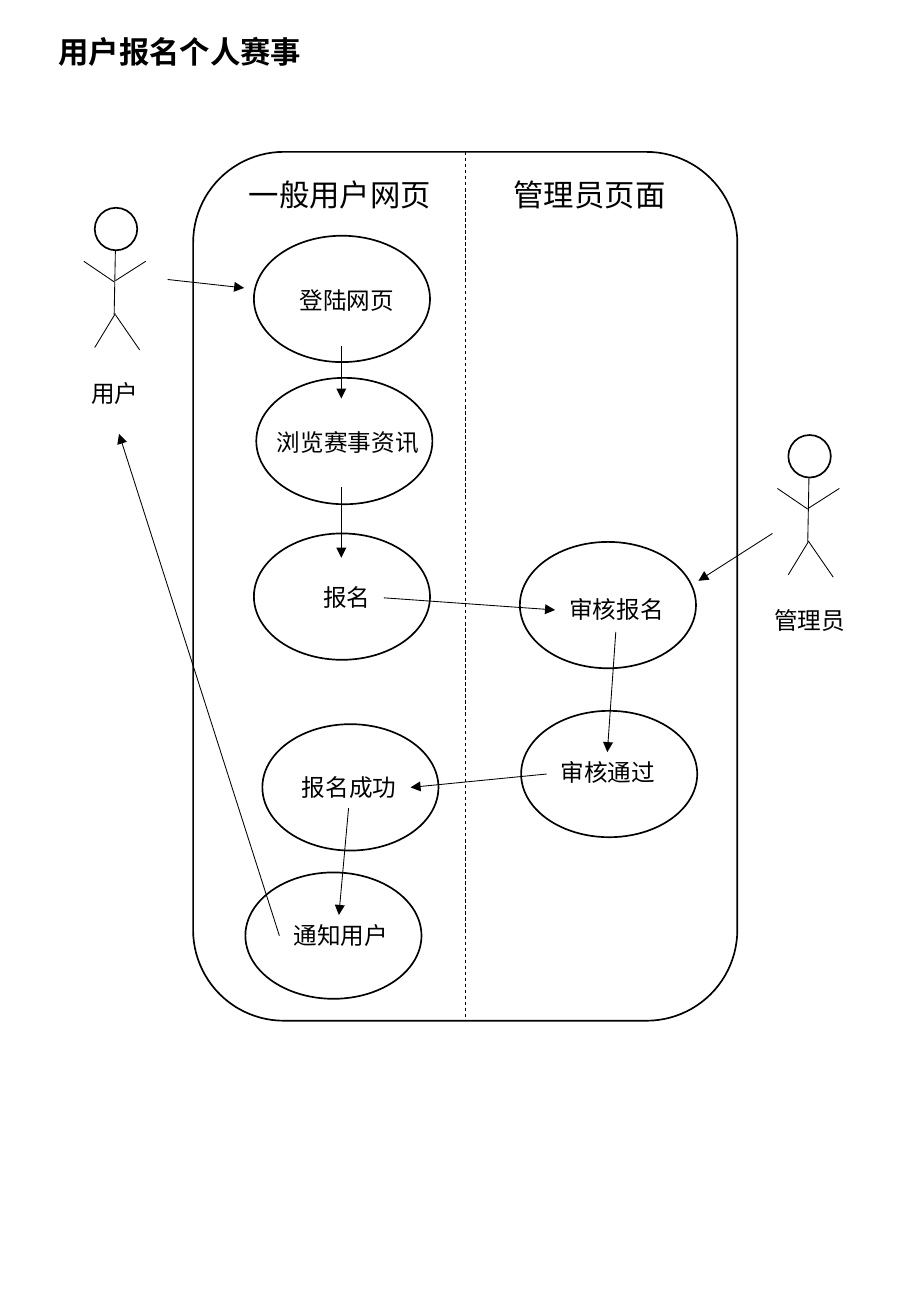
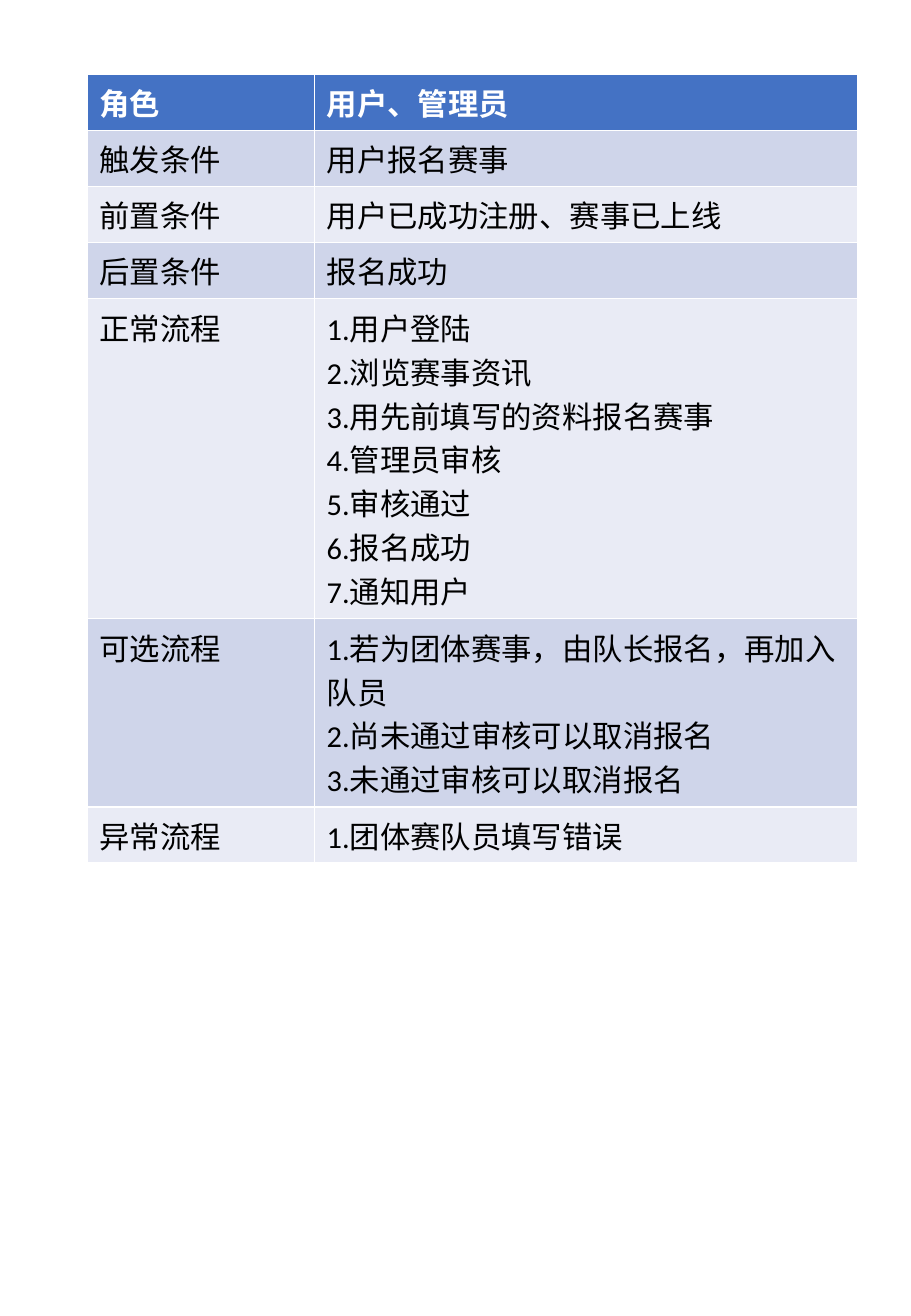
"""Build a use-case diagram for event registration and its description table."""
from typing import NamedTuple

from lxml import etree
from pptx import Presentation
from pptx import util as u
from pptx.dml import color
from pptx.enum import dml, lang, shapes, text
from pptx.oxml import ns

BLACK = color.RGBColor(0x00, 0x00, 0x00)
WHITE = color.RGBColor(0xFF, 0xFF, 0xFF)
HEADER = color.RGBColor(0x44, 0x72, 0xC4)
BANDS = (color.RGBColor(0xE9, 0xEB, 0xF5), color.RGBColor(0xCF, 0xD5, 0xEA))
BODY_FONT = "Calibri"
TITLE_FONT = "Noto Sans CJK SC"
OVAL_SIZE = (1.45, 1.04)


class Label(NamedTuple):
    text: str
    left: float
    top: float
    size: int = 14


class UseCase(NamedTuple):
    left: float
    top: float
    label: Label


class Actor(NamedTuple):
    left: float
    top: float
    label: Label


class Line(NamedTuple):
    x1: float
    y1: float
    x2: float
    y2: float


SYSTEM = (1.59, 1.25, 4.48, 7.15)
HEADINGS = (Label("一般用户网页", 1.95, 1.4, 18), Label("管理员页面", 4.13, 1.4, 18))
USE_CASES = (
    UseCase(2.09, 1.94, Label("登陆网页", 2.35, 2.3)),
    UseCase(2.11, 3.11, Label("浏览赛事资讯", 2.16, 3.47)),
    UseCase(2.09, 4.39, Label("报名", 2.55, 4.75)),
    UseCase(4.28, 4.46, Label("审核报名", 4.57, 4.85)),
    UseCase(4.29, 5.85, Label("审核通过", 4.5, 6.19)),
    UseCase(2.16, 5.96, Label("报名成功", 2.37, 6.31)),
    UseCase(2.02, 7.18, Label("通知用户", 2.3, 7.53)),
)
ACTORS = (
    Actor(0.78, 1.71, Label("用户", 0.64, 3.07)),
    Actor(6.49, 3.58, Label("管理员", 6.26, 4.94)),
)
LIMBS = (
    Line(0.17, 0.35, 0.16, 0.88),
    Line(0.16, 0.61, -0.09, 0.44),
    Line(0.42, 0.44, 0.17, 0.6),
    Line(0.17, 0.87, 0, 1.15),
    Line(0.37, 1.17, 0.17, 0.88),
)
FLOWS = (
    Line(1.38, 2.3, 2.01, 2.37),
    Line(2.81, 2.85, 2.81, 3.28),
    Line(2.81, 4.01, 2.81, 4.59),
    Line(6.36, 4.39, 5.75, 4.78),
    Line(3.16, 4.92, 4.57, 5.02),
    Line(5.07, 5.2, 5, 6.19),
    Line(4.5, 6.37, 3.38, 6.48),
    Line(2.87, 6.65, 2.79, 7.53),
    Line(2.3, 7.7, 0.98, 3.57),
)
ROWS = (
    ("角色", "用户、管理员"),
    ("触发条件", "用户报名赛事"),
    ("前置条件", "用户已成功注册、赛事已上线"),
    ("后置条件", "报名成功"),
    ("正常流程", "1.用户登陆\n2.浏览赛事资讯\n3.用先前填写的资料报名赛事\n"
     "4.管理员审核\n5.审核通过\n6.报名成功\n7.通知用户"),
    ("可选流程", "1.若为团体赛事，由队长报名，再加入队员\n"
     "2.尚未通过审核可以取消报名\n3.未通过审核可以取消报名"),
    ("异常流程", "1.团体赛队员填写错误"),
)


def write(tf, content: str, size: int, rgb=BLACK, bold: bool = False,
          name: str = BODY_FONT, align=text.PP_ALIGN.LEFT) -> None:
    tf.text = content
    for p in tf.paragraphs:
        p.alignment = align
        p.font.name, p.font.size, p.font.bold = name, u.Pt(size), bold
        p.font.color.rgb = rgb
        p.font.language_id = lang.MSO_LANGUAGE_ID.SIMPLIFIED_CHINESE


def add_outline(parent, kind, left: float, top: float, width: float, height: float) -> None:
    sp = parent.add_shape(kind, *map(u.Inches, (left, top, width, height)))
    sp.shadow.inherit = False
    sp.fill.background()
    sp.line.color.rgb, sp.line.width = BLACK, u.Pt(1)


def add_line(parent, line: Line, arrow: bool = False, dashed: bool = False) -> None:
    cx = parent.add_connector(shapes.MSO_CONNECTOR.STRAIGHT, *map(u.Inches, line))
    cx.line.color.rgb, cx.line.width = BLACK, u.Pt(0.5)
    if dashed:
        cx.line.dash_style = dml.MSO_LINE.DASH
    sp_pr = cx._element.spPr
    if arrow:
        etree.SubElement(sp_pr.find(ns.qn("a:ln")), ns.qn("a:tailEnd"), type="triangle")
    etree.SubElement(sp_pr, ns.qn("a:effectLst"))


def add_label(parent, label: Label, align=text.PP_ALIGN.CENTER) -> None:
    width = 0.0143 * label.size * len(label.text) + 0.21
    height = 0.015 * label.size + 0.14
    box = parent.add_textbox(*map(u.Inches, (label.left, label.top, width, height)))
    tf = box.text_frame
    tf.word_wrap = False
    tf.auto_size = text.MSO_AUTO_SIZE.SHAPE_TO_FIT_TEXT
    write(tf, label.text, label.size, align=align)


def add_actor(parent, actor: Actor) -> None:
    figure = parent.add_group_shape().shapes
    add_outline(figure, shapes.MSO_SHAPE.OVAL, actor.left, actor.top, 0.35, 0.35)
    for limb in LIMBS:
        add_line(figure, Line(actor.left + limb.x1, actor.top + limb.y1,
                              actor.left + limb.x2, actor.top + limb.y2))
    add_label(parent, actor.label)


def build_diagram(prs) -> None:
    s = prs.slides.add_slide(prs.slide_layouts[5])
    title = s.shapes.title
    title.left, title.top, title.width, title.height = map(u.Inches, (0.38, 0.22, 3.14, 0.4))
    tf = title.text_frame
    tf.word_wrap = True
    tf.auto_size = text.MSO_AUTO_SIZE.SHAPE_TO_FIT_TEXT
    tf.vertical_anchor = text.MSO_ANCHOR.TOP
    write(tf, "用户报名个人赛事", 18, bold=True, name=TITLE_FONT)

    left, top, width, height = SYSTEM
    middle = left + width / 2
    add_outline(s.shapes, shapes.MSO_SHAPE.ROUNDED_RECTANGLE, *SYSTEM)
    add_line(s.shapes, Line(middle, top, middle, top + height), dashed=True)
    for heading in HEADINGS:
        add_label(s.shapes, heading, text.PP_ALIGN.LEFT)
    for actor in ACTORS:
        add_actor(s.shapes, actor)
    for case in USE_CASES:
        add_outline(s.shapes, shapes.MSO_SHAPE.OVAL, case.left, case.top, *OVAL_SIZE)
        add_label(s.shapes, case.label)
    for flow in FLOWS:
        add_line(s.shapes, flow, arrow=True)


def build_table(prs) -> None:
    s = prs.slides.add_slide(prs.slide_layouts[6])
    row_height = 0.41
    frame = s.shapes.add_table(len(ROWS), 2, *map(
        u.Inches, (0.72, 0.61, 6.34, row_height * len(ROWS))))
    table = frame.table
    for column, width in zip(table.columns, (1.87, 4.47)):
        column.width = u.Inches(width)
    for i, row in enumerate(ROWS):
        is_header = i == 0
        table.rows[i].height = u.Inches(row_height)
        for j, content in enumerate(row):
            cell = table.cell(i, j)
            cell.fill.solid()
            cell.fill.fore_color.rgb = HEADER if is_header else BANDS[i % 2]
            write(cell.text_frame, content, 18, WHITE if is_header else BLACK, is_header)


def main() -> None:
    prs = Presentation()
    prs.slide_width, prs.slide_height = u.Inches(7.5), u.Inches(10.83)
    build_diagram(prs)
    build_table(prs)
    prs.save("out.pptx")


main()
